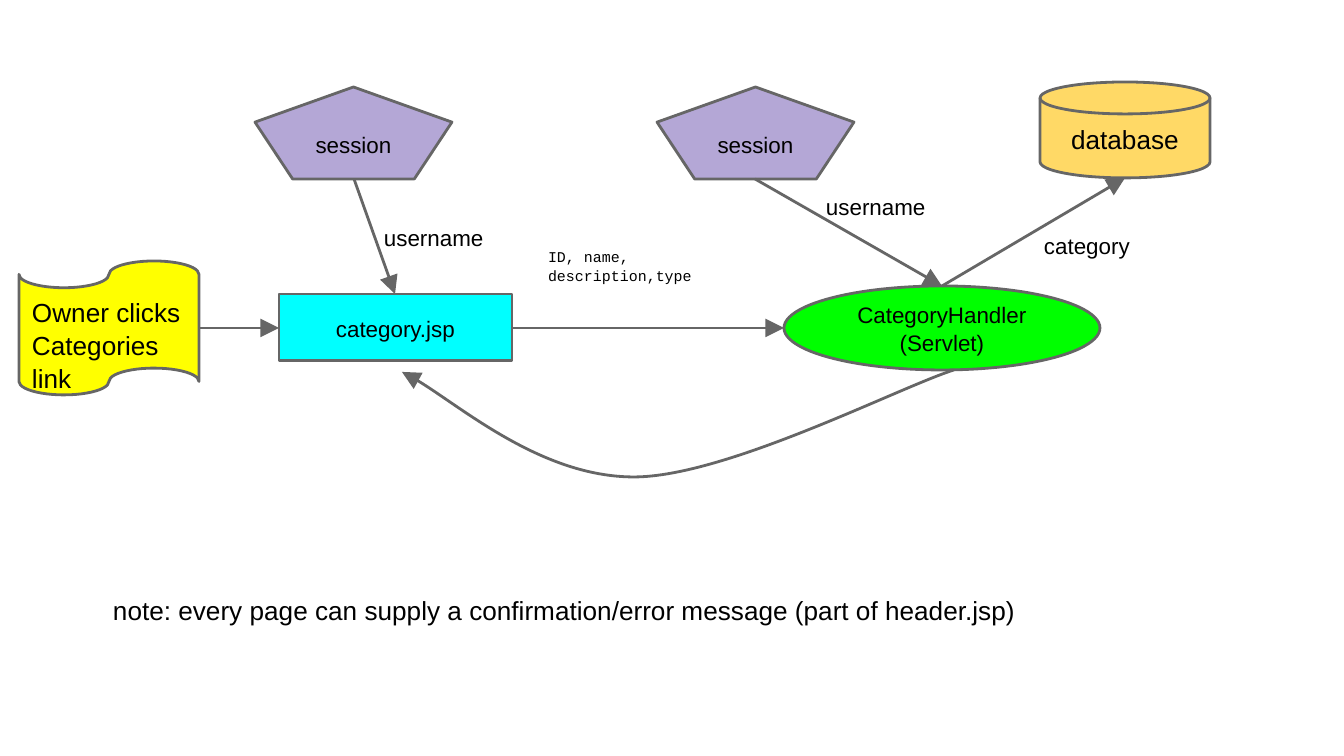
from lxml import etree
from pptx import Presentation
from pptx.dml.color import RGBColor
from pptx.enum.shapes import MSO_CONNECTOR as Connector, MSO_SHAPE as Shape
from pptx.enum.text import MSO_ANCHOR as Anchor, PP_ALIGN as Align
from pptx.oxml.ns import qn
from pptx.util import Emu, Pt

PIXEL = 914400 / 134.4
INSET = 13


def px(length):
    """Turn picture pixels into EMU."""
    return Emu(round(length * PIXEL))


def color(hex_code):
    """Turn a hex string into a colour."""
    return RGBColor.from_string(hex_code)


class FlowDiagram:
    """Style and drawing methods for one slide."""

    ink, stroke, stroke_width = "000000", "666666", Pt(1.5)

    def __init__(self, slide):
        """Keep the slide to draw on."""
        self.shapes = slide.shapes

    def style_line(self, item, arrow=False):
        """Apply the common outline, with an arrowhead at the end if asked."""
        item.line.color.rgb = color(self.stroke)
        item.line.width = self.stroke_width
        if arrow:
            outline = item.line._get_or_add_ln()
            etree.SubElement(outline, qn("a:tailEnd"), type="triangle", w="lg", len="lg")

    def set_text(self, frame, text, size, font="Arial", align=Align.LEFT, top=INSET):
        """Fill a text frame and format its runs."""
        frame.word_wrap = True
        frame.margin_left = frame.margin_right = frame.margin_bottom = px(INSET)
        frame.margin_top = px(top)
        frame.text = text
        for paragraph in frame.paragraphs:
            paragraph.alignment = align
            paragraph.line_spacing = 1.05
            for run in paragraph.runs:
                run.font.name, run.font.size = font, Pt(size)
                run.font.color.rgb = color(self.ink)

    def node(self, kind, box, fill, text, size=12, align=Align.CENTER, top=INSET):
        """Draw a filled shape with text in its middle."""
        shape = self.shapes.add_shape(kind, *map(px, box))
        shape.shadow.inherit = False
        shape.fill.solid()
        shape.fill.fore_color.rgb = color(fill)
        self.style_line(shape)
        self.set_text(shape.text_frame, text, size, align=align, top=top)
        shape.text_frame.vertical_anchor = Anchor.MIDDLE

    def label(self, box, text, size=12, font="Arial"):
        """Place plain text."""
        self.set_text(self.shapes.add_textbox(*map(px, box)).text_frame, text, size, font)

    def arrow(self, start, end):
        """Draw a straight arrow."""
        line = self.shapes.add_connector(Connector.STRAIGHT, *map(px, start + end))
        self.style_line(line, arrow=True)
        etree.SubElement(line._element.spPr, qn("a:effectLst"))

    def curved_arrow(self, start, controls):
        """Draw an arrow along cubic curves, three points to each curve."""
        builder = self.shapes.build_freeform(*start, scale=PIXEL)
        builder.add_line_segments(controls, close=False)
        curve = builder.convert_to_shape()
        curve.shadow.inherit = False
        curve.fill.background()
        self.style_line(curve, arrow=True)
        outline = curve._element.spPr.find(".//" + qn("a:path"))
        segments = outline.findall(qn("a:lnTo"))
        for first in range(0, len(segments), 3):
            bezier = etree.SubElement(outline, qn("a:cubicBezTo"))
            for segment in segments[first:first + 3]:
                bezier.append(segment[0])
                outline.remove(segment)


presentation = Presentation()
presentation.slide_width, presentation.slide_height = px(1344), px(756)
diagram = FlowDiagram(presentation.slides.add_slide(presentation.slide_layouts[6]))

# Pages, handler and data stores
diagram.node(Shape.RECTANGLE, (279, 294, 233, 67), "00FFFF", "category.jsp")
diagram.node(Shape.FLOWCHART_CONNECTOR, (784, 286, 316, 84), "00FF00",
             "CategoryHandler\n(Servlet)")
diagram.node(Shape.FLOWCHART_MAGNETIC_DISK, (1040, 82, 170, 96), "FFD966", "database", 14)
for session_left in (255, 657):
    diagram.node(Shape.REGULAR_PENTAGON, (session_left, 87, 197, 92), "B4A7D6", "session")
diagram.node(Shape.FLOWCHART_PUNCHED_TAPE, (19, 261, 180, 134), "FFFF00",
             "Owner clicks Categories link", 14, Align.LEFT, top=INSET + 32)

# Flow between them
handler_top = (942, 286)
for start, end in (
    ((199, 328), (279, 328)),
    ((512, 328), (784, 328)),
    ((354, 179), (395, 294)),
    ((755, 179), handler_top),
    (handler_top, (1125, 178)),
):
    diagram.arrow(start, end)
diagram.curved_arrow((954, 370), [(900, 387), (726, 477), (634, 477),
                                  (542, 477), (441, 390), (402, 372)])

# Data passed along and the note
for left, top, passed in ((371, 210, "username"), (813, 179, "username"),
                          (1031, 218, "category")):
    diagram.label((left, top, 129, 54), passed)
diagram.label((535, 234, 210, 113), "ID, name,\ndescription,type", 8, "Courier New")
diagram.label((100, 580, 968, 67),
              "note: every page can supply a confirmation/error message (part of header.jsp)", 14)

presentation.save("out.pptx")
